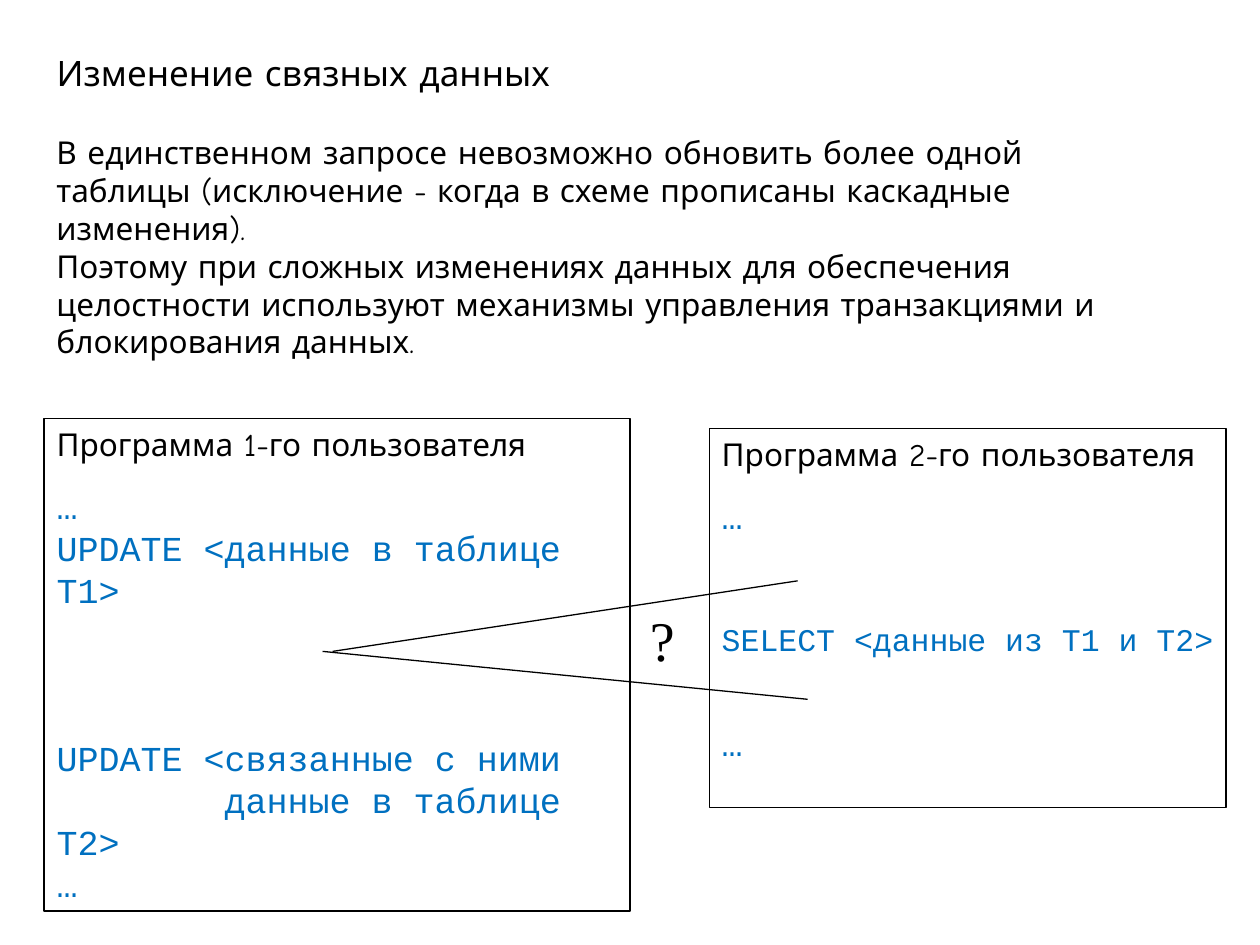
from lxml.etree import SubElement
from pptx import Presentation
from pptx.dml.color import RGBColor
from pptx.enum.shapes import MSO_CONNECTOR, MSO_SHAPE
from pptx.enum.text import MSO_ANCHOR, PP_ALIGN
from pptx.oxml.ns import qn
from pptx.util import Inches, Pt

COLORS = {"ink": "000000", "code": "0070C0"}
BODY, CODE, SERIF = "Comic Neue", "Courier New", "Times New Roman"
LEFT = 0.35
CODE_LINE = 24  # height of one code line in points

deck = Presentation()
deck.slide_width, deck.slide_height = Inches(10), Inches(7.5)
slide = deck.slides.add_slide(deck.slide_layouts[5])


def write(frame, lines, wrap=True):
    """Each line is (text, font, size, color, space before in points)."""
    frame.word_wrap = wrap
    frame.vertical_anchor = MSO_ANCHOR.TOP
    frame.text = "\n".join(line[0] for line in lines)
    for paragraph, (_, face, size, color, gap) in zip(frame.paragraphs, lines):
        paragraph.alignment = PP_ALIGN.LEFT
        paragraph.space_before = Pt(gap)
        font = paragraph.runs[0].font
        font.name, font.size = face, Pt(size)
        font.color.rgb = RGBColor.from_string(COLORS[color])


# Title
title = slide.shapes.title
title.left, title.top, title.width, title.height = map(Inches, (LEFT, 0.36, 4.57, 0.44))
write(title.text_frame, [("Изменение связных данных", BODY, 20, "ink", 0)])

# Programs of the two users
first_program = [
    ("Программа 1-го пользователя", BODY, 18, "ink", 0),
    ("…", CODE, 20, "code", 12.5),
    ("UPDATE <данные в таблице T1>", CODE, 20, "code", 0),
    ("UPDATE <связанные с ними", CODE, 20, "code", 3 * CODE_LINE),
    ("данные в таблице T2>", CODE, 20, "code", 0),
    ("…", CODE, 20, "code", 0),
]
second_program = [
    ("Программа 2-го пользователя", BODY, 18, "ink", 0),
    ("…", CODE, 20, "code", 12.5),
    ("SELECT <данные из T1 и T2>", CODE, 18, "code", CODE_LINE + 23.7),
    ("…", CODE, 20, "code", CODE_LINE + 12.5),
]
programs = [
    ((LEFT, 3.32, 4.65, 3.91), first_program, True),
    ((5.63, 3.4, 4.1, 3.01), second_program, False),
]
for place, lines, wrap in programs:
    program = slide.shapes.add_shape(MSO_SHAPE.RECTANGLE, *map(Inches, place))
    program.shadow.inherit = False
    program.fill.background()
    program.line.color.rgb = RGBColor.from_string(COLORS["ink"])
    program.line.width = Pt(0.74)
    write(program.text_frame, lines, wrap)
    # The continued statement starts eight characters in
    for paragraph in program.text_frame.paragraphs:
        if paragraph.text.startswith("данные"):
            paragraph._p.get_or_add_pPr().set("indent", str(Pt(8 * 12)))

# Moments at which the second program may read
for ends in [(6.33, 4.61, 2.64, 5.17), (6.41, 5.55, 2.56, 5.17)]:
    moment = slide.shapes.add_connector(MSO_CONNECTOR.STRAIGHT, *map(Inches, ends))
    moment.line.color.rgb = RGBColor.from_string(COLORS["ink"])
    moment.line.width = Pt(0.74)
    SubElement(moment._element.spPr, qn("a:effectLst"))

# Explanation and question mark
explanation = [
    ("В единственном запросе невозможно обновить более одной таблицы "
     "(исключение - когда в схеме прописаны каскадные изменения).", BODY, 18, "ink", 0),
    ("Поэтому при сложных изменениях данных для обеспечения целостности используют "
     "механизмы управления транзакциями и блокирования данных.", BODY, 18, "ink", 0),
]
question = [("?", SERIF, 32, "ink", 0)]
for place, lines in [((LEFT, 1.01, 8.9, 1.3), explanation),
                     ((5.06, 4.76, 0.42, 0.64), question)]:
    note = slide.shapes.add_textbox(*map(Inches, place))
    write(note.text_frame, lines)

deck.save("out.pptx")
